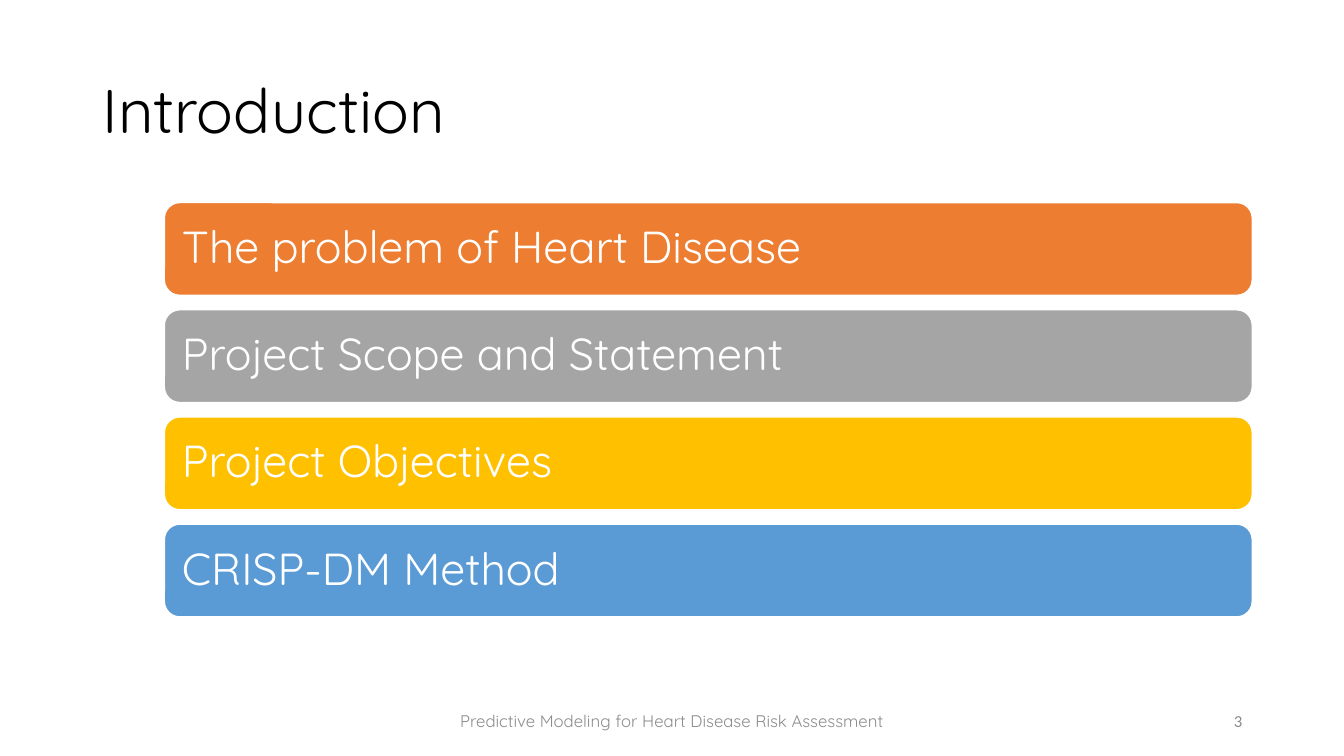
from pptx import Presentation
from pptx.dml.color import RGBColor
from pptx.enum.shapes import MSO_SHAPE
from pptx.enum.text import MSO_ANCHOR, PP_ALIGN
from pptx.util import Inches, Pt

COLORS = {
    "title": "000000",
    "white": "FFFFFF",
    "footer": "8C8C8C",
    "orange": "ED7D31",
    "gray": "A5A5A5",
    "gold": "FFC000",
    "blue": "5B9BD5",
}
TOPICS = [
    ("The problem of Heart Disease", "orange"),
    ("Project Scope and Statement", "gray"),
    ("Project Objectives", "gold"),
    ("CRISP-DM Method", "blue"),
]


def color(name):
    return RGBColor.from_string(COLORS[name])


def write_text(shape, text, size, color_name, font="Quicksand",
               align=PP_ALIGN.LEFT, line_spacing=1.0):
    text_frame = shape.text_frame
    text_frame.word_wrap = True
    text_frame.vertical_anchor = MSO_ANCHOR.MIDDLE
    text_frame.text = text
    paragraph = text_frame.paragraphs[0]
    paragraph.alignment = align
    paragraph.line_spacing = line_spacing
    run_font = paragraph.runs[0].font
    run_font.name = font
    run_font.size = Pt(size)
    run_font.color.rgb = color(color_name)


def add_text(slide, box, text, size, color_name, **style):
    shape = slide.shapes.add_textbox(*map(Inches, box))
    write_text(shape, text, size, color_name, **style)


def add_title(slide, box):
    add_text(slide, box, "Introduction", 44, "title", line_spacing=0.9)


def add_topics(slide, box, bar_height=0.92):
    left, top, width, height = box
    pitch = (height - bar_height) / (len(TOPICS) - 1)
    for index, (topic, fill_name) in enumerate(TOPICS):
        bar = slide.shapes.add_shape(
            MSO_SHAPE.ROUNDED_RECTANGLE, Inches(left),
            Inches(top + index * pitch), Inches(width), Inches(bar_height))
        bar.shadow.inherit = False
        bar.fill.solid()
        bar.fill.fore_color.rgb = color(fill_name)
        bar.line.color.rgb = color("white")
        bar.line.width = Pt(1)
        text_frame = bar.text_frame
        text_frame.margin_left = text_frame.margin_right = Inches(0.13)
        text_frame.margin_top = text_frame.margin_bottom = Inches(0.13)
        write_text(bar, topic, 32, "white", line_spacing=0.9)


def add_footer(slide, box):
    left, top, width, height = box
    caption_width, number_width = 5.29, 3
    number_left = left + width - number_width
    add_text(slide, (left, top, caption_width, height),
             "Predictive Modeling for Heart Disease Risk Assessment",
             12, "footer", align=PP_ALIGN.CENTER)
    add_text(slide, (number_left, top, number_width, height),
             "3", 12, "footer", font="Calibri", align=PP_ALIGN.RIGHT)


def main():
    presentation = Presentation()
    presentation.slide_width = Inches(13.33)
    presentation.slide_height = Inches(7.5)
    slide = presentation.slides.add_slide(presentation.slide_layouts[6])
    add_title(slide, (0.92, 0.4, 11.5, 1.45))
    add_topics(slide, (1.63, 2.01, 10.79, 4.11))
    add_footer(slide, (4.02, 6.95, 8.4, 0.4))
    presentation.save("out.pptx")


if __name__ == "__main__":
    main()
